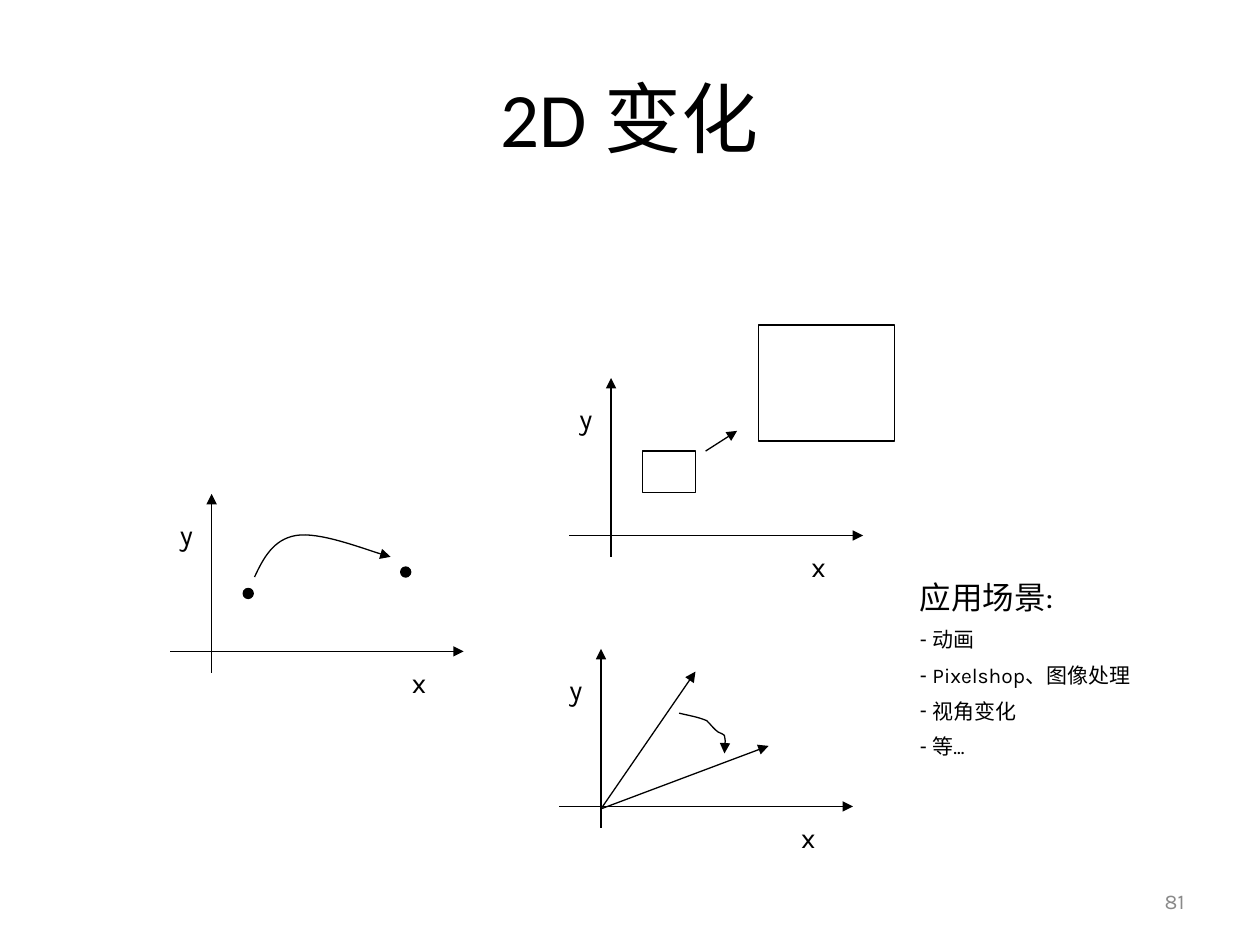
from dataclasses import dataclass
from typing import Any

from lxml import etree
from pptx import Presentation
from pptx.dml.color import RGBColor
from pptx.enum.shapes import MSO_CONNECTOR, MSO_SHAPE
from pptx.enum.text import MSO_ANCHOR, MSO_AUTO_SIZE, PP_ALIGN
from pptx.oxml.ns import qn
from pptx.util import Inches, Pt

BLACK = RGBColor(0x00, 0x00, 0x00)
GRAY = RGBColor(0x89, 0x89, 0x89)
LINE = MSO_CONNECTOR.STRAIGHT
RECT, OVAL = MSO_SHAPE.RECTANGLE, MSO_SHAPE.OVAL
TOP, MID = MSO_ANCHOR.TOP, MSO_ANCHOR.MIDDLE
LEFT, CENTER, RIGHT = PP_ALIGN.LEFT, PP_ALIGN.CENTER, PP_ALIGN.RIGHT
GROW, FIXED = MSO_AUTO_SIZE.SHAPE_TO_FIT_TEXT, MSO_AUTO_SIZE.NONE

Point = tuple[float, float]


@dataclass
class Box:
    left: float
    top: float
    width: float
    height: float

    def emu(self) -> list[int]:
        return [Inches(v) for v in (self.left, self.top, self.width, self.height)]


def apply(item: Any, form: dict[str, Any]) -> None:
    for name, value in form.items():
        setattr(item, name, value)


def place(shape: Any, box: Box) -> None:
    apply(shape, dict(zip(("left", "top", "width", "height"), box.emu())))


def style(font: Any, size: float, color: RGBColor = BLACK, name: str = "Karla") -> None:
    apply(font, {"size": Pt(size), "name": name})
    font.color.rgb = color


def stroke(shape: Any, arrow: bool = False) -> None:
    shape.line.color.rgb = BLACK
    shape.line.width = Pt(0.75)
    if arrow:
        tip = etree.SubElement(shape.line._get_or_add_ln(), qn("a:tailEnd"))
        tip.set("type", "triangle")


def arrow(slide: Any, start: Point, end: Point) -> None:
    ends = [Inches(v) for v in (*start, *end)]
    link = slide.shapes.add_connector(LINE, *ends)
    stroke(link, True)
    etree.SubElement(link._element.spPr, qn("a:effectLst"))


def figure(slide: Any, kind: Any, box: Box, filled: bool = False) -> None:
    shape = slide.shapes.add_shape(kind, *box.emu())
    shape.shadow.inherit = False
    if filled:
        shape.fill.solid()
        shape.fill.fore_color.rgb = BLACK
    else:
        shape.fill.background()
    stroke(shape)


def curve(slide: Any, start: Point, points: list[Point]) -> None:
    """Draw an arrow through cubic Bezier pieces of three points each."""
    first, *rest = [(Inches(x), Inches(y)) for x, y in (start, *points)]
    build = slide.shapes.build_freeform(*first)
    build.add_line_segments(rest, close=False)
    shape = build.convert_to_shape()
    shape.shadow.inherit = False
    shape.fill.background()
    stroke(shape, True)
    steps = list(shape._element.iter(qn("a:lnTo")))
    for i in range(0, len(steps), 3):
        bend = etree.Element(qn("a:cubicBezTo"))
        steps[i].addprevious(bend)
        for step in steps[i:i + 3]:
            bend.append(step[0])
            step.getparent().remove(step)


def label(slide: Any, text: str, box: Box, size: float, frame: dict[str, Any],
          align: Any = LEFT, color: RGBColor = BLACK) -> None:
    area = slide.shapes.add_textbox(*box.emu()).text_frame
    apply(area, frame)
    para = area.paragraphs[0]
    para.text, para.alignment = text, align
    style(para.font, size, color)


def axes(slide: Any, x: float, y: float) -> None:
    arrow(slide, (x - 0.33, y), (x + 2, y))
    arrow(slide, (x, y + 0.17), (x, y - 1.25))
    frame = {"word_wrap": False, "auto_size": GROW}
    label(slide, "x", Box(x + 1.49, y + 0.06, 0.31, 0.37), 16, frame)
    label(slide, "y", Box(x - 0.35, y - 1.11, 0.31, 0.37), 16, frame)


def bullet(para: Any, mark: str | None) -> None:
    prop = para._p.get_or_add_pPr()
    hang = Inches(0.1) if mark else 0
    prop.set("marL", str(hang))
    prop.set("indent", str(-hang))
    if mark:
        etree.SubElement(prop, qn("a:buChar")).set("char", mark)
    else:
        etree.SubElement(prop, qn("a:buNone"))


def uses(body: Any, head: str, items: list[str]) -> None:
    place(body, Box(7.2, 4.54, 2.83, 1.62))
    area = body.text_frame
    apply(area, {"word_wrap": True, "auto_size": GROW, "vertical_anchor": TOP})
    area.text = "\n".join([head, *items])
    for i, para in enumerate(area.paragraphs):
        bullet(para, "-" if i else None)
        para.space_before = Pt(6 if i else 0)
        style(para.font, 12 if i else 18)


def main() -> None:
    prs = Presentation()
    apply(prs, {"slide_width": Inches(10), "slide_height": Inches(7.5)})
    slide = prs.slides.add_slide(prs.slide_layouts[1])

    # Title and page number
    title = slide.shapes.title
    place(title, Box(0.5, 0.3, 9, 1.25))
    apply(title.text_frame, {"text": "2D 变化", "vertical_anchor": MID})
    para = title.text_frame.paragraphs[0]
    para.alignment = CENTER
    style(para.font, 44, name="Calibri")
    label(slide, "81", Box(7.17, 6.95, 2.33, 0.4), 12,
          {"word_wrap": True, "auto_size": FIXED, "vertical_anchor": MID}, RIGHT, GRAY)

    # Move: a point follows a curve
    axes(slide, 1.68, 5.17)
    for x, y in ((1.93, 4.67), (3.18, 4.5)):
        figure(slide, OVAL, Box(x, y, 0.08, 0.08), True)
    curve(slide, (2.02, 4.58), [(2.09, 4.43), (2.17, 4.28), (2.35, 4.25),
                                (2.53, 4.22), (2.98, 4.39), (3.1, 4.42)])

    # Scale: a small box becomes a large one
    axes(slide, 4.85, 4.25)
    figure(slide, RECT, Box(5.1, 3.58, 0.42, 0.33))
    figure(slide, RECT, Box(6.02, 2.58, 1.08, 0.92))
    arrow(slide, (5.6, 3.58), (5.85, 3.42))

    # Rotate: one vector turns into another
    axes(slide, 4.77, 6.4)
    for end in ((5.52, 5.33), (6.1, 5.92)):
        arrow(slide, (4.77, 6.42), end)
    curve(slide, (5.39, 5.66), [(5.47, 5.68), (5.54, 5.69), (5.61, 5.72),
                                (5.64, 5.75), (5.67, 5.79), (5.7, 5.81),
                                (5.72, 5.82), (5.75, 5.83), (5.75, 5.84),
                                (5.76, 5.89), (5.75, 5.94), (5.75, 5.98)])

    # List of uses
    uses(slide.placeholders[1], "应用场景:",
         ["动画", "Pixelshop、图像处理", "视角变化", "等..."])

    prs.save("out.pptx")


if __name__ == "__main__":
    main()
